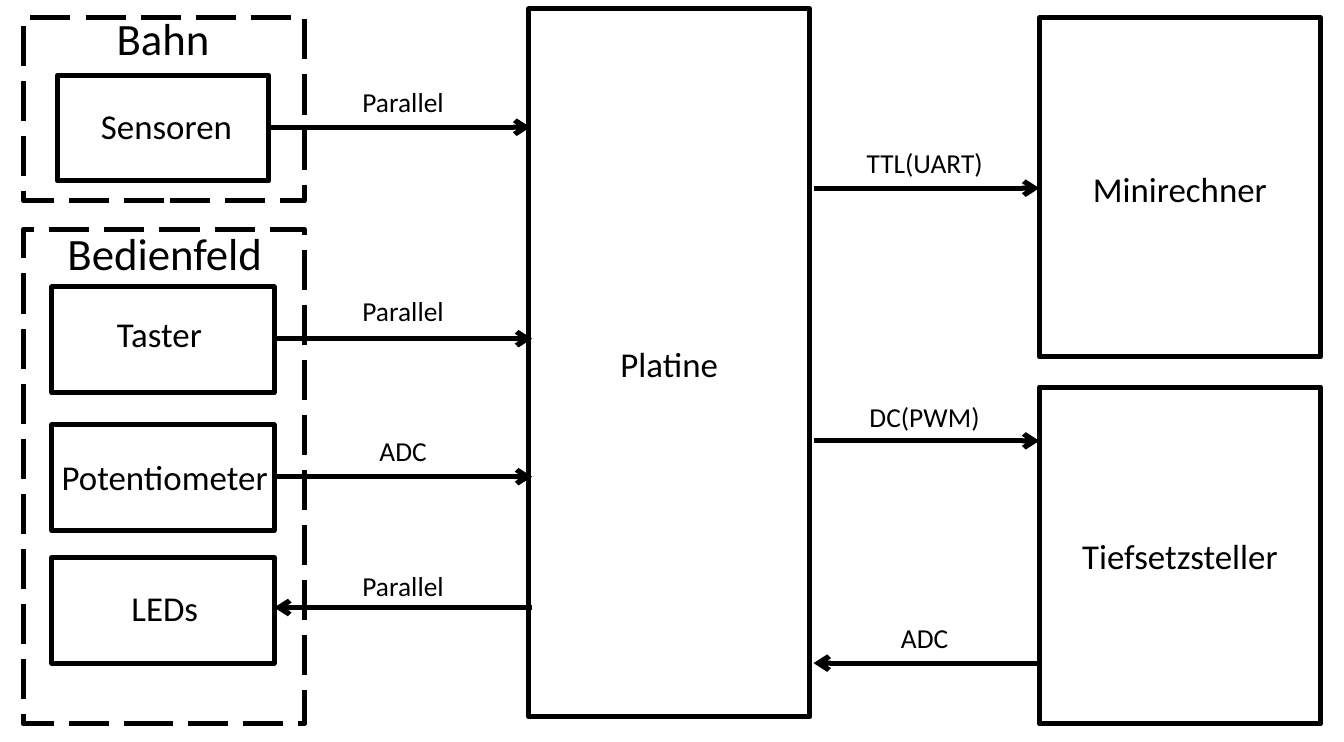
"""Build a block diagram of a controller board and the units wired to it."""
import pptx
import pptx.dml.color
import pptx.enum.dml
import pptx.enum.shapes
import pptx.enum.text
import pptx.oxml
import pptx.oxml.ns
import pptx.util
from pptx.util import Inches

BLACK = pptx.dml.color.RGBColor(0, 0, 0)
FONT = "Calibri"
LINE_WIDTH = pptx.util.Pt(2)
HEADING_SIZE, UNIT_SIZE, SIGNAL_SIZE = 18, 14, 11
LABEL_HEIGHTS = {HEADING_SIZE: 0.4, UNIT_SIZE: 0.34, SIGNAL_SIZE: 0.29}

COLUMN_WIDTH = 1.57
GROUP_LEFT, BOARD_LEFT, PARTNER_LEFT = 0.13, 2.95, 5.8
UNIT_HEIGHT = 0.59
SIGNAL_WIDTH = 0.94
LEFT_SIGNALS, RIGHT_SIGNALS = 1.78, 4.69

GROUPS = [(0.1, 1.02), (1.28, 2.76)]
HEADINGS = [("Bahn", 0.32, 0.01, 1.18), ("Bedienfeld", 0.27, 1.21, 1.3)]
COLUMN_BLOCKS = [
    ("Platine", BOARD_LEFT, 0.05, 3.95, 1.86),
    ("Minirechner", PARTNER_LEFT, 0.1, 1.89, 0.88),
    ("Tiefsetzsteller", PARTNER_LEFT, 2.16, 1.88, 2.93),
]
UNITS = [
    ("Sensoren", 0.32, 0.42, 1.18, (0.28, 0.53, 1.3)),
    ("Taster", 0.29, 1.6, 1.24, (0.24, 1.69, 1.3)),
    ("Potentiometer", 0.29, 2.37, 1.24, (0.24, 2.49, 1.36)),
    ("LEDs", 0.29, 3.11, 1.24, (0.27, 3.22, 1.3)),
]
SIGNALS = [
    ("Parallel", LEFT_SIGNALS, 0.42, 1.51, 2.96, 0.71),
    ("Parallel", LEFT_SIGNALS, 1.59, 1.54, 2.97, 1.89),
    ("ADC", LEFT_SIGNALS, 2.37, 1.53, 2.97, 2.66),
    ("Parallel", LEFT_SIGNALS, 3.12, 2.97, 1.53, 3.39),
    ("TTL(UART)", RIGHT_SIGNALS, 0.76, 4.54, 5.8, 1.05),
    ("DC(PWM)", RIGHT_SIGNALS, 2.18, 4.54, 5.8, 2.46),
    ("ADC", RIGHT_SIGNALS, 3.41, 5.8, 4.54, 3.7),
]


def style_line(line):
    """Give a line the diagram's colour and width."""
    line.color.rgb = BLACK
    line.width = LINE_WIDTH


def add_block(slide, left, top, width, height, dashed=False):
    """Add an unfilled rectangle, dashed if it frames a group."""
    block = slide.shapes.add_shape(
        pptx.enum.shapes.MSO_SHAPE.RECTANGLE,
        Inches(left), Inches(top), Inches(width), Inches(height))
    block.shadow.inherit = False
    block.fill.background()
    style_line(block.line)
    if dashed:
        block.line.dash_style = pptx.enum.dml.MSO_LINE.LONG_DASH


def add_label(slide, text, left, top, width, size):
    """Add a centred one-line label."""
    label = slide.shapes.add_textbox(
        Inches(left), Inches(top), Inches(width), Inches(LABEL_HEIGHTS[size]))
    frame = label.text_frame
    frame.word_wrap = True
    frame.auto_size = pptx.enum.text.MSO_AUTO_SIZE.SHAPE_TO_FIT_TEXT
    frame.margin_left = frame.margin_right = 0
    frame.vertical_anchor = pptx.enum.text.MSO_ANCHOR.MIDDLE
    paragraph = frame.paragraphs[0]
    paragraph.text = text
    paragraph.alignment = pptx.enum.text.PP_ALIGN.CENTER
    paragraph.font.name = FONT
    paragraph.font.size = pptx.util.Pt(size)
    paragraph.font.color.rgb = BLACK


def add_signal_arrow(slide, start, end, height):
    """Add a horizontal arrow from start to end."""
    arrow = slide.shapes.add_connector(
        pptx.enum.shapes.MSO_CONNECTOR.STRAIGHT,
        Inches(start), Inches(height), Inches(end), Inches(height))
    style_line(arrow.line)
    head = pptx.oxml.parse_xml(
        f'<a:tailEnd {pptx.oxml.ns.nsdecls("a")} type="arrow"/>')
    arrow.line._get_or_add_ln().append(head)
    effects = pptx.oxml.parse_xml(
        f'<a:effectLst {pptx.oxml.ns.nsdecls("a")}/>')
    arrow._element.spPr.append(effects)


def main():
    """Build and save the slide."""
    deck = pptx.Presentation()
    deck.slide_width, deck.slide_height = Inches(7.5), Inches(4.14)
    slide = deck.slides.add_slide(deck.slide_layouts.get_by_name("Blank"))
    for top, height in GROUPS:
        add_block(slide, GROUP_LEFT, top, COLUMN_WIDTH, height, dashed=True)
    for heading, left, top, width in HEADINGS:
        add_label(slide, heading, left, top, width, HEADING_SIZE)
    for name, left, top, height, name_top in COLUMN_BLOCKS:
        add_block(slide, left, top, COLUMN_WIDTH, height)
        add_label(slide, name, left, name_top, COLUMN_WIDTH, UNIT_SIZE)
    for name, left, top, width, name_place in UNITS:
        add_block(slide, left, top, width, UNIT_HEIGHT)
        add_label(slide, name, *name_place, UNIT_SIZE)
    for signal, left, top, start, end, height in SIGNALS:
        add_signal_arrow(slide, start, end, height)
        add_label(slide, signal, left, top, SIGNAL_WIDTH, SIGNAL_SIZE)
    deck.save("out.pptx")


main()
